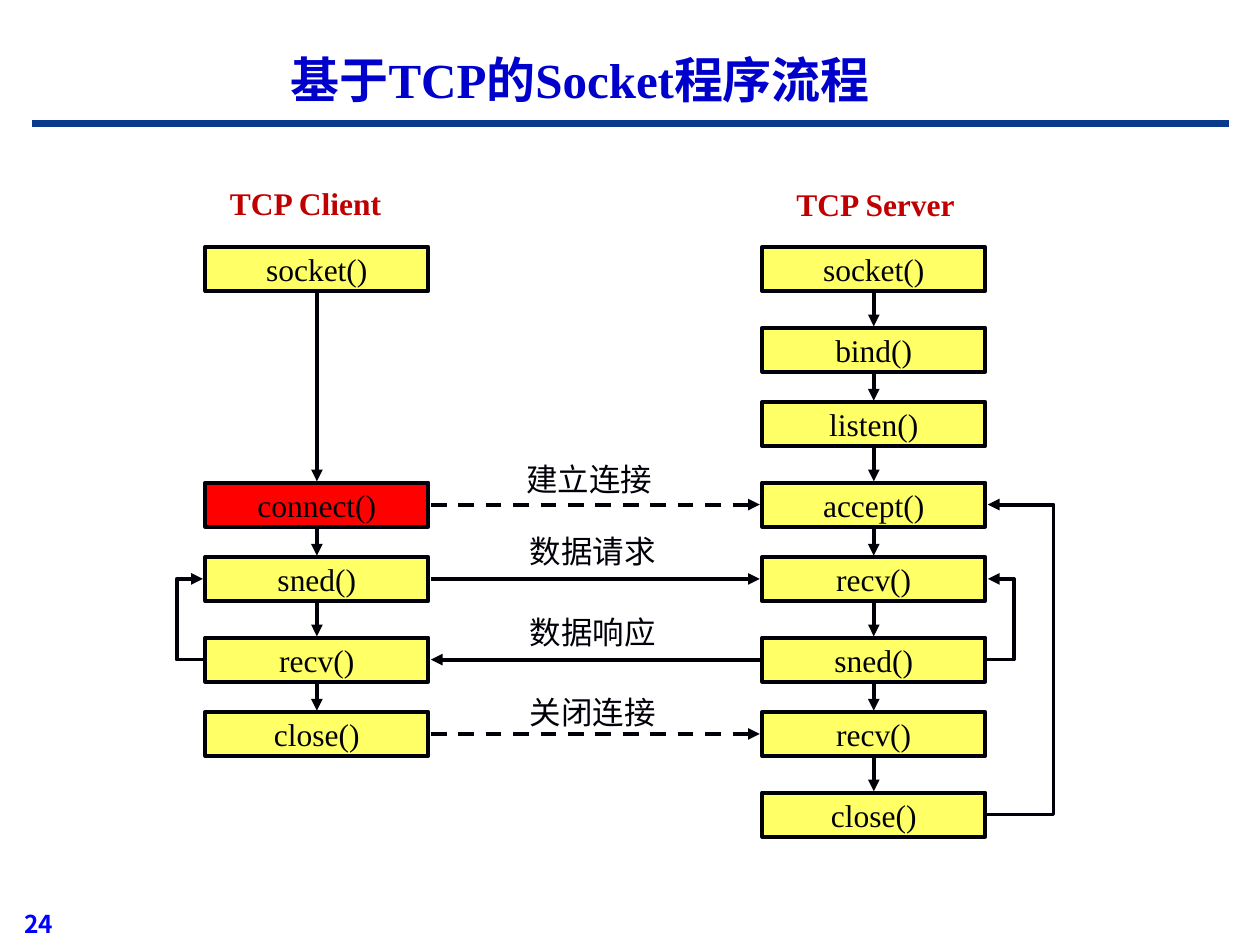
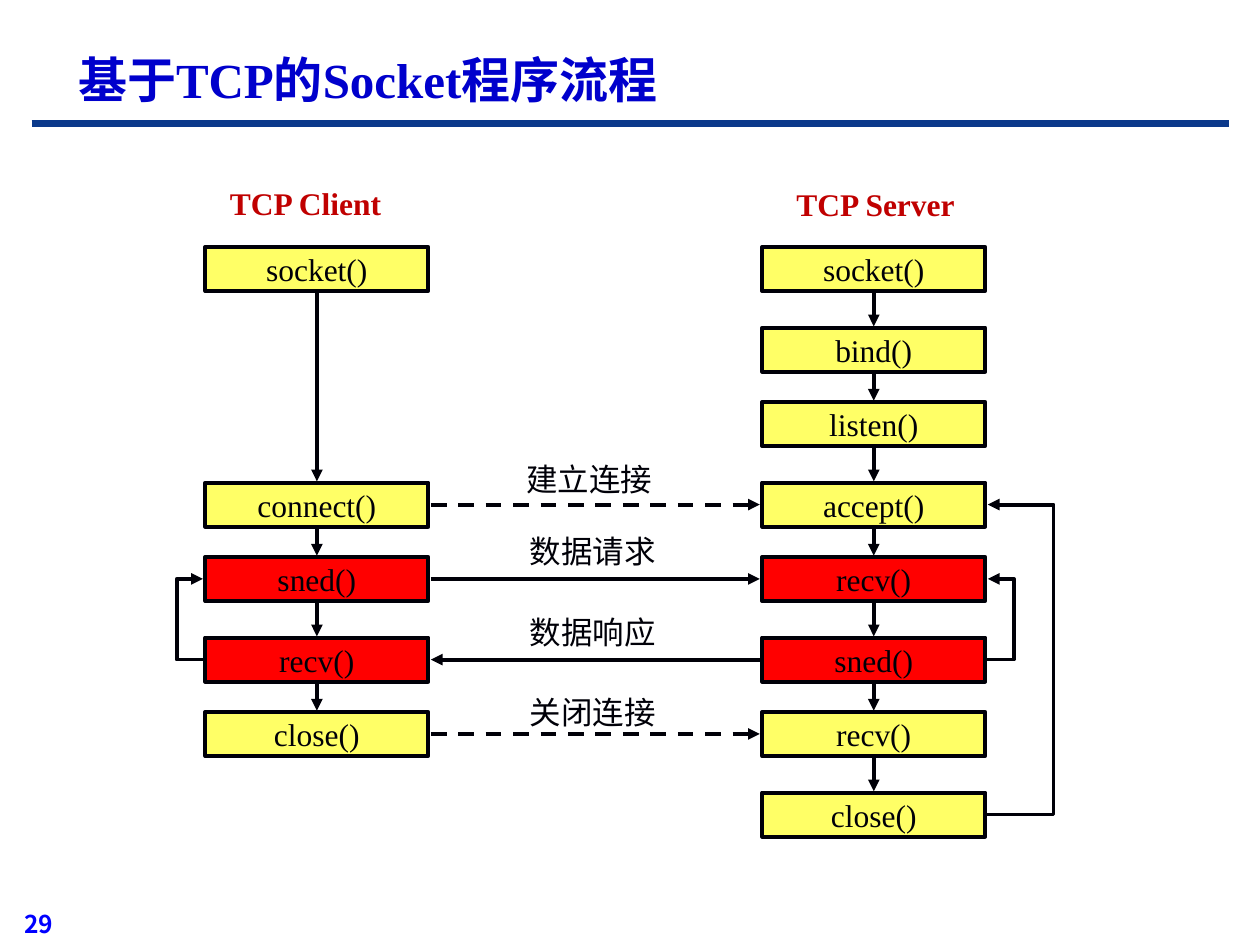
from itertools import pairwise

from lxml import etree
from pptx import Presentation
from pptx import util as u
from pptx.dml.color import RGBColor
from pptx.enum import dml, shapes, text
from pptx.oxml.ns import qn

INK, YELLOW, RED = "000008", "FFFF66", "FF0000"
BLUE, NAVY, CRIMSON, PAGE = "0000CC", "0B398B", "C00000", "0000FF"
SERIF, SANS = "Times New Roman", "Noto Sans CJK JP"
LEFT, MID = text.PP_ALIGN.LEFT, text.PP_ALIGN.CENTER
RIGHT = text.PP_ALIGN.RIGHT

TITLE = "基于TCP的Socket程序流程"
BOX_W, BOX_H, GAP = 1.77, 0.35, 0.01
CLIENT_X, SERVER_X = 1.63, 6.05
ROWS = [1.96, 2.6, 3.19, 3.83, 4.42, 5.06, 5.65, 6.29]
CLIENT = {0: "socket()", 3: "connect()", 4: "sned()", 5: "recv()", 6: "close()"}
SERVER = dict(enumerate(["socket()", "bind()", "listen()", "accept()",
                         "recv()", "sned()", "recv()", "close()"]))
LABELS = [
    ("TCP Client", (1.18, 1.41, 2.49, 0.4), MID, CRIMSON, True),
    ("TCP Server", (5.63, 1.42, 2.64, 0.4), MID, CRIMSON, True),
    ("建立连接", (4.08, 3.6, 1.28, 0.4), LEFT, INK, False),
    ("数据请求", (3.4, 4.17, 2.61, 0.4), MID, INK, False),
    ("数据响应", (3.4, 4.82, 2.61, 0.4), MID, INK, False),
    ("关闭连接", (3.4, 5.45, 2.61, 0.4), MID, INK, False),
]


def rgb(code):
    return RGBColor.from_string(code)


def inches(*sizes):
    return [u.Inches(size) for size in sizes]


def write(shape, words, size, color, align, bold=False, face=SERIF,
          anchor=text.MSO_ANCHOR.MIDDLE, wrap=True):
    frame = shape.text_frame
    frame.text = words
    frame.word_wrap = wrap
    frame.auto_size = text.MSO_AUTO_SIZE.NONE
    frame.vertical_anchor = anchor
    para = frame.paragraphs[0]
    para.alignment = align
    font = para.font
    font.size, font.bold, font.name = u.Pt(size), bold, face
    font.color.rgb = rgb(color)
    etree.SubElement(font._rPr, qn("a:ea"), typeface=SANS)


def add_label(slide, words, place, align, color, bold):
    box = slide.shapes.add_textbox(*inches(*place))
    write(box, words, 18, color, align, bold, anchor=text.MSO_ANCHOR.TOP)


def add_call(slide, words, x, y, fill):
    box = slide.shapes.add_shape(shapes.MSO_SHAPE.RECTANGLE,
                                 *inches(x, y, BOX_W, BOX_H))
    box.shadow.inherit = False
    box.fill.solid()
    box.fill.fore_color.rgb = rgb(fill)
    box.line.color.rgb = rgb(INK)
    box.line.width = u.Pt(2.25)
    write(box, words, 18, INK, MID, wrap=False)


def add_line(slide, start, end, color=INK, width=2.25, dash=False,
             head=True, kind=shapes.MSO_CONNECTOR.STRAIGHT):
    link = slide.shapes.add_connector(kind, *inches(*start, *end))
    link.line.color.rgb = rgb(color)
    link.line.width = u.Pt(width)
    if dash:
        link.line.dash_style = dml.MSO_LINE.DASH
    if head:
        etree.SubElement(link.line._get_or_add_ln(), qn("a:tailEnd"),
                         type="triangle")
    etree.SubElement(link._element.spPr, qn("a:effectLst"))
    return link


def add_loop(slide, x, low, high, reach):
    step = GAP if reach > 0 else -GAP
    link = add_line(slide, (x, low), (x + step, high),
                    kind=shapes.MSO_CONNECTOR.ELBOW)
    geom = link._element.spPr.find(qn("a:prstGeom"))
    bends = geom.find(qn("a:avLst"))
    if bends is None:
        bends = etree.SubElement(geom, qn("a:avLst"))
    ratio = round(reach / step * 100000)
    etree.SubElement(bends, qn("a:gd"), name="adj1", fmla=f"val {ratio}")


def add_column(slide, calls, x, hot):
    for row, words in calls.items():
        add_call(slide, words, x, ROWS[row], RED if row in hot else YELLOW)
    mid = x + BOX_W / 2
    for row, below in pairwise(calls):
        add_line(slide, (mid, ROWS[row] + BOX_H + GAP),
                 (mid, ROWS[below] - GAP))


def add_frame(slide, align, width, number):
    title = slide.shapes.title
    title.left, title.top, title.width, title.height = inches(
        0.52, 0.32, width, 0.62)
    write(title, TITLE, 28, BLUE, align, True)
    add_line(slide, (0.25, 0.98), (9.75, 0.98), NAVY, 4.5, head=False)
    page = slide.shapes.add_textbox(*inches(-0.06, 7.08, 0.58, 0.42))
    write(page, number, 14, PAGE, RIGHT, True, SANS, text.MSO_ANCHOR.BOTTOM)


def add_flow(slide, client_hot, server_hot):
    add_column(slide, CLIENT, CLIENT_X, client_hot)
    add_column(slide, SERVER, SERVER_X, server_hot)
    mids = [y + BOX_H / 2 for y in ROWS]
    near, far = CLIENT_X + BOX_W + 2 * GAP, SERVER_X - 2 * GAP
    for row in range(3, 7):
        ends = [(near, mids[row]), (far, mids[row])]
        if row == 5:
            ends.reverse()
        add_line(slide, *ends, dash=row in (3, 6))
    edge = SERVER_X + BOX_W + GAP
    add_loop(slide, CLIENT_X - GAP, mids[5], mids[4], -0.22)
    add_loop(slide, edge, mids[5], mids[4], 0.22)
    add_loop(slide, edge, mids[7], mids[3], 0.54)
    for label in LABELS:
        add_label(slide, *label)


def main():
    deck = Presentation()
    deck.slide_width, deck.slide_height = inches(10, 7.5)
    for align, width, number, client_hot, server_hot in [
        (MID, 8.17, "24", {3}, set()),
        (LEFT, 6.33, "29", {4, 5}, {4, 5}),
    ]:
        slide = deck.slides.add_slide(deck.slide_layouts[5])
        add_frame(slide, align, width, number)
        add_flow(slide, client_hot, server_hot)
    deck.save("out.pptx")


if __name__ == "__main__":
    main()
